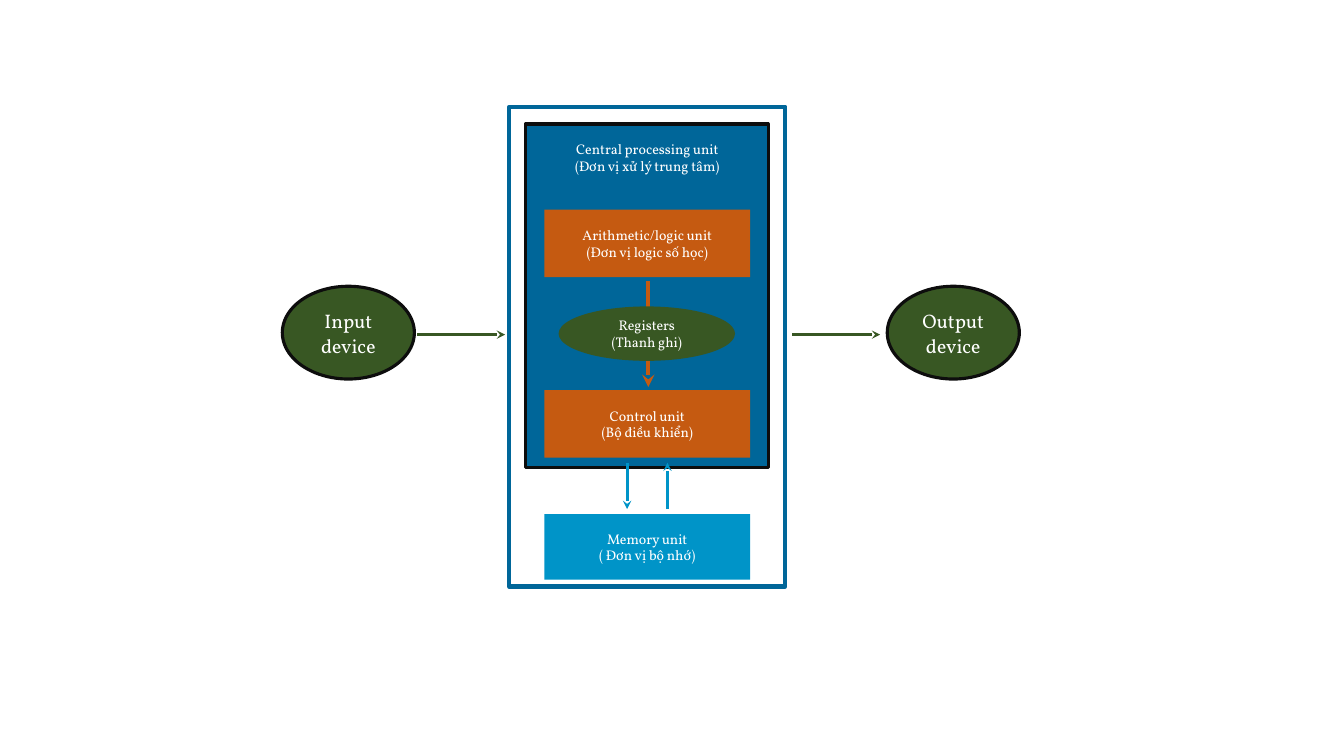
from lxml import etree
from pptx import Presentation
from pptx.dml.color import RGBColor
from pptx.enum.shapes import MSO_CONNECTOR, MSO_SHAPE
from pptx.enum.text import MSO_ANCHOR, PP_ALIGN
from pptx.oxml.ns import qn
from pptx.util import Inches, Pt

BLUE, SKY, GREEN, ORANGE = "006699", "0094C8", "385723", "C55A11"
BLACK, WHITE = "0D0D0D", "FFFFFF"
RECTANGLE, OVAL = MSO_SHAPE.RECTANGLE, MSO_SHAPE.OVAL


def add_block(kind, box, fill=None, line=None, line_width=0, text="", size=10):
    """Add a shape; box is left, top, width, height in inches."""
    shape = slide.shapes.add_shape(kind, *[Inches(value) for value in box])
    shape.shadow.inherit = False
    if fill:
        shape.fill.solid()
        shape.fill.fore_color.rgb = RGBColor.from_string(fill)
    else:
        shape.fill.background()
    if line:
        shape.line.color.rgb = RGBColor.from_string(line)
        shape.line.width = Pt(line_width)
    else:
        shape.line.fill.background()
    frame = shape.text_frame
    frame.text = text
    frame.word_wrap = True
    frame.vertical_anchor = MSO_ANCHOR.MIDDLE
    for paragraph in frame.paragraphs:
        paragraph.alignment = PP_ALIGN.CENTER
        for run in paragraph.runs:
            run.font.name = "Vollkorn"
            run.font.size = Pt(size)
            run.font.color.rgb = RGBColor.from_string(WHITE)
    return shape


def add_arrow(start, end, color, width=2):
    arrow = slide.shapes.add_connector(
        MSO_CONNECTOR.STRAIGHT, *[Inches(value) for value in start + end])
    arrow.line.color.rgb = RGBColor.from_string(color)
    arrow.line.width = Pt(width)
    etree.SubElement(arrow.line._get_or_add_ln(), qn("a:tailEnd"), type="stealth")
    etree.SubElement(arrow._element.spPr, qn("a:effectLst"))


presentation = Presentation()
presentation.slide_width = Inches(13.33)
presentation.slide_height = Inches(7.5)
slide = presentation.slides.add_slide(presentation.slide_layouts[6])

# Computer case and processor
add_block(RECTANGLE, (5.05, 1.06, 2.74, 4.76), line=BLUE, line_width=3)
add_block(RECTANGLE, (5.21, 1.23, 2.41, 3.41), BLUE, BLACK, 2.25)

# Input and output devices
for left, label in [(2.8, "Input\vdevice"), (8.8, "Output\vdevice")]:
    device = add_block(OVAL, (left, 2.84, 1.31, 0.92), GREEN, BLACK, 2.25, label, 14)
    device.text_frame.paragraphs[0].line_spacing = 1.07
    device.text_frame.paragraphs[0].space_after = Pt(8)

# Units stacked in the middle column
units = [
    (2.08, 0.67, ORANGE, "Arithmetic/logic unit\n(Đơn vị logic số học)"),
    (3.87, 0.67, ORANGE, "Control unit\n(Bộ điều khiển)"),
    (5.1, 0.65, SKY, "Memory unit\n( Đơn vị bộ nhớ)"),
    (1.23, 0.67, None, "Central processing unit\n(Đơn vị xử lý trung tâm)"),
]
for top, height, fill, label in units:
    add_block(RECTANGLE, (5.4, top, 2.04, height), fill, text=label)

# Data flow
add_arrow((6.22, 4.59), (6.22, 5.05), SKY)
add_arrow((6.62, 5.05), (6.62, 4.59), SKY)
for left in (4.14, 7.86):
    add_arrow((left, 3.32), (left + 0.87, 3.32), GREEN)
add_arrow((6.43, 2.79), (6.43, 3.84), ORANGE, 3)

add_block(OVAL, (5.54, 3.04, 1.75, 0.54), GREEN, text="Registers\v(Thanh ghi)")

presentation.save("out.pptx")
